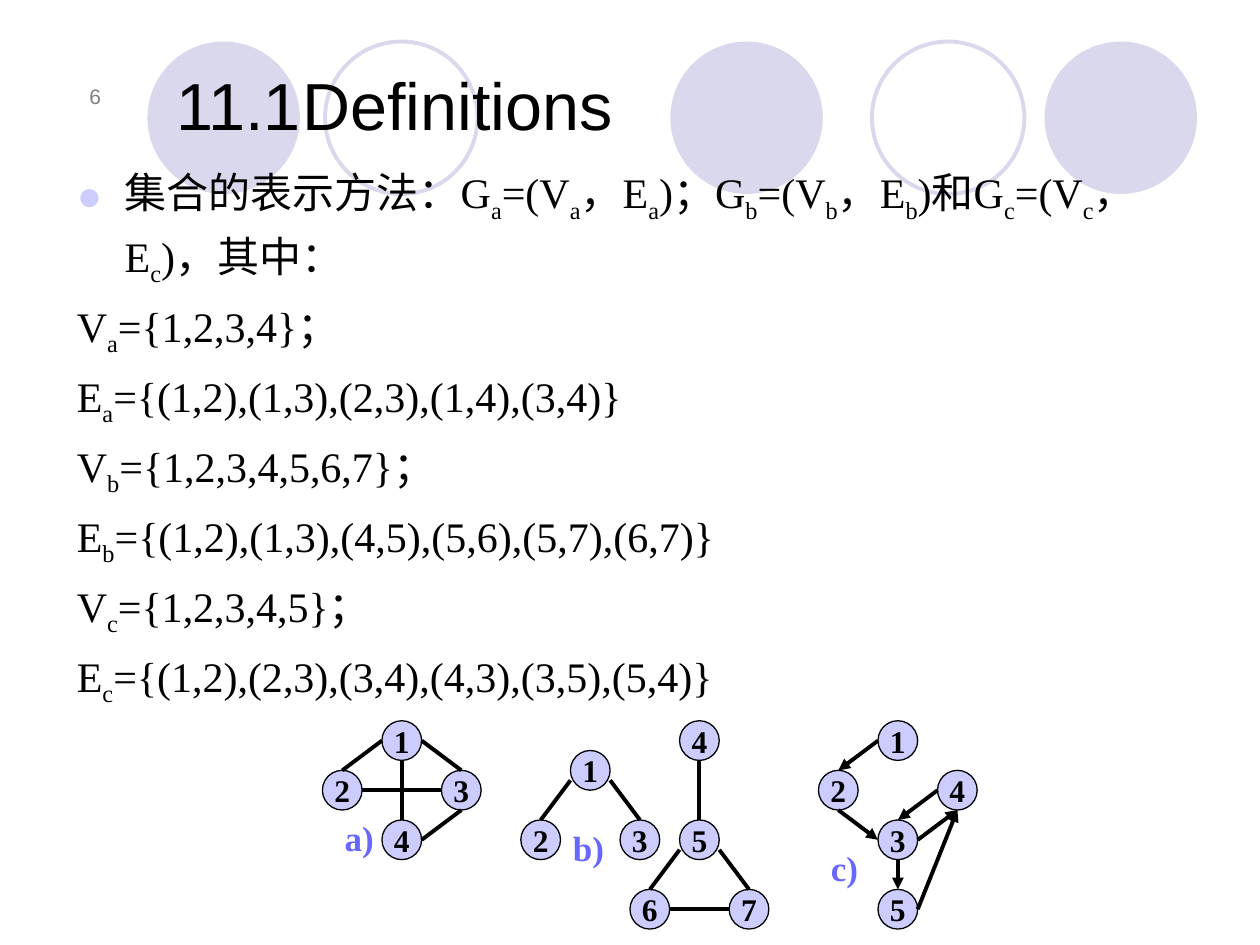
from lxml.etree import SubElement
from pptx import Presentation
from pptx.dml.color import RGBColor
from pptx.enum.shapes import MSO_CONNECTOR as CONN, MSO_SHAPE as SHAPE
from pptx.enum.text import MSO_ANCHOR as ANCHOR, MSO_AUTO_SIZE as FIT, PP_ALIGN as ALIGN
from pptx.oxml.ns import qn
from pptx.util import Cm, Inches, Pt

BLACK = RGBColor(0, 0, 0)
GRAY = RGBColor(0x80, 0x80, 0x80)
PALE = RGBColor(0xD9, 0xD8, 0xEC)
LILAC = RGBColor(0xCC, 0xCC, 0xFF)
VIOLET = RGBColor(0x67, 0x67, 0xFF)

WIDTH, HEIGHT = Inches(10), Inches(7.5)
STEP, GRID_X, GRID_Y = Cm(0.2), Cm(6.5), Cm(14.53)
NODE = 4

TITLE = {"name": "Arial", "size": Pt(38)}
NUMBER = {"name": "Arial", "size": Pt(12)}
BODY = {"name": "Times New Roman", "size": Pt(24)}
NODE_TEXT = {"name": "Times New Roman", "size": Pt(18), "bold": True}
LABEL = {"name": "Times New Roman", "size": Pt(20), "bold": True}

CIRCLES = [(53.2, True), (82.9, True), (11.7, True), (69.2, False), (25.8, False)]
LINES = [
    "集合的表示方法：G_a=(V_a，E_a)；G_b=(V_b，E_b)和G_c=(V_c，E_c)，其中：",
    "V_a={1,2,3,4}；",
    "E_a={(1,2),(1,3),(2,3),(1,4),(3,4)}",
    "V_b={1,2,3,4,5,6,7}；",
    "E_b={(1,2),(1,3),(4,5),(5,6),(5,7),(6,7)}",
    "V_c={1,2,3,4,5}；",
    "E_c={(1,2),(2,3),(3,4),(4,3),(3,5),(5,4)}",
]

PORTS = {"T": (2, 0), "L": (0, 2), "B": (2, 4), "R": (4, 2), "l": (0, 3), "r": (4, 3)}
GRAPHS = [
    ("a)", (1, 9), False,
     {"1": (6, 0), "4": (6, 10), "2": (0, 5), "3": (12, 5)},
     ["1B 4T", "2R 3L", "1L 2T", "3B 4R", "3T 1R"]),
    ("b)", (24, 10), False,
     {"1": (25, 3), "2": (20, 10), "3": (30, 10), "4": (36, 0),
      "5": (36, 10), "6": (31, 17), "7": (41, 17)},
     ["1l 2T", "3T 1r", "4B 5T", "6R 7L", "5l 6T", "7T 5r"]),
    ("c)", (50, 12), True,
     {"1": (56, 0), "3": (56, 10), "2": (50, 5), "4": (62, 5), "5": (56, 17)},
     ["3B 5T", "2B 3L", "1L 2T", "3R 4B", "5R 4B", "4L 3T"]),
]


def share(x, y, w, h):
    """Turn percentages of the slide into a box of lengths."""
    return [int(v * side / 100) for v, side in zip((x, y, w, h), (WIDTH, HEIGHT) * 2)]


def grid(col, row):
    """Return the point at a column and row of the graph grid."""
    return GRID_X + col * STEP, GRID_Y + row * STEP


def style(font, fmt, color=BLACK):
    """Apply a dict of format values and a colour to a font."""
    for key, value in fmt.items():
        setattr(font, key, value)
    font.color.rgb = color


def write(sp, text, fmt, color=BLACK, align=ALIGN.LEFT, anchor=ANCHOR.TOP):
    """Put one formatted paragraph into a shape."""
    tf = sp.text_frame
    tf.word_wrap, tf.auto_size, tf.vertical_anchor = True, FIT.NONE, anchor
    p = tf.paragraphs[0]
    p.alignment = align
    r = p.add_run()
    r.text = text
    style(r.font, fmt, color)
    return tf


def place(sp, box):
    """Move a placeholder to a box, in front of what is drawn so far."""
    sp.left, sp.top, sp.width, sp.height = box
    sp._element.getparent().append(sp._element)


def add_ellipse(s, box, fill=None, line=None, weight=0.75):
    """Draw an ellipse with an optional fill and outline."""
    sp = s.shapes.add_shape(SHAPE.OVAL, *box)
    sp.shadow.inherit = False
    for part, color in ((sp.fill, fill), (sp.line.fill, line)):
        if color is None:
            part.background()
        else:
            part.solid()
            part.fore_color.rgb = color
    if line is not None:
        sp.line.width = Pt(weight)
    return sp


def add_node(s, name, at):
    """Draw a numbered graph node."""
    sp = add_ellipse(s, (*grid(*at), NODE * STEP, NODE * STEP), LILAC, BLACK)
    tf = write(sp, name, NODE_TEXT, align=ALIGN.CENTER, anchor=ANCHOR.MIDDLE)
    tf.word_wrap = False
    for side in ("left", "top", "right", "bottom"):
        setattr(tf, f"margin_{side}", 0)


def add_edge(s, nodes, edge, arrow):
    """Draw an edge between two node ports such as '1B 4T'."""
    ends = []
    for name, port in edge.split():
        ends += grid(*(a + b for a, b in zip(nodes[name], PORTS[port])))
    c = s.shapes.add_connector(CONN.STRAIGHT, *ends)
    c.line.color.rgb = BLACK
    c.line.width = Pt(2.25)
    if arrow:
        SubElement(c.line._get_or_add_ln(), qn("a:tailEnd"), type="triangle")
    SubElement(c._element.spPr, qn("a:effectLst"))


def add_graph(s, label, at, arrow, nodes, edges):
    """Draw a graph with its nodes, edges and label."""
    for name, pos in nodes.items():
        add_node(s, name, pos)
    for edge in edges:
        add_edge(s, nodes, edge, arrow)
    tb = s.shapes.add_textbox(*grid(*at), 6 * STEP, Inches(0.43))
    write(tb, label, LABEL, VIOLET)


def set_bullet(p, bullet):
    """Give a paragraph its hanging indent and a bullet or none."""
    pPr = p._p.get_or_add_pPr()
    pPr.set("marL", str(Inches(0.38)))
    pPr.set("indent", str(-Inches(0.38)))
    if bullet:
        clr = SubElement(pPr, qn("a:buClr"))
        SubElement(clr, qn("a:srgbClr"), val=str(LILAC))
        SubElement(pPr, qn("a:buChar"), char="●")
    else:
        SubElement(pPr, qn("a:buNone"))


def add_run(p, text, sub=False):
    """Add a body run, lowered if it is a subscript."""
    r = p.add_run()
    r.text = text
    style(r.font, BODY)
    if sub:
        r._r.get_or_add_rPr().set("baseline", "-25000")


def fill_body(tf):
    """Write the set definitions, where '_' marks a subscript letter."""
    tf.auto_size = FIT.NONE
    for i, line in enumerate(LINES):
        p = tf.add_paragraph() if i else tf.paragraphs[0]
        set_bullet(p, i == 0)
        p.line_spacing = 1.1
        p.space_before = Pt(4 if i else 0)
        first, *rest = line.split("_")
        add_run(p, first)
        for part in rest:
            add_run(p, part[0], sub=True)
            add_run(p, part[1:])


def main():
    """Build the slide and save it."""
    prs = Presentation()
    prs.slide_width, prs.slide_height = WIDTH, HEIGHT
    s = prs.slides.add_slide(prs.slide_layouts[1])
    for x, solid in CIRCLES:
        colors = {"fill": PALE} if solid else {"line": PALE, "weight": 2.25}
        add_ellipse(s, share(x, 4.4, 12.1, 16.13), **colors)
    number = s.shapes.add_textbox(*share(3.5, 5.87, 5.5, 6.27))
    write(number, "6", NUMBER, GRAY, ALIGN.RIGHT, ANCHOR.BOTTOM)
    title, body = s.placeholders
    place(title, share(13, 5.87, 85.9, 10))
    write(title, "11.1\tDefinitions", TITLE, anchor=ANCHOR.BOTTOM)
    place(body, share(5.1, 16.4, 90, 57.33))
    fill_body(body.text_frame)
    for graph in GRAPHS:
        add_graph(s, *graph)
    prs.save("out.pptx")


if __name__ == "__main__":
    main()
